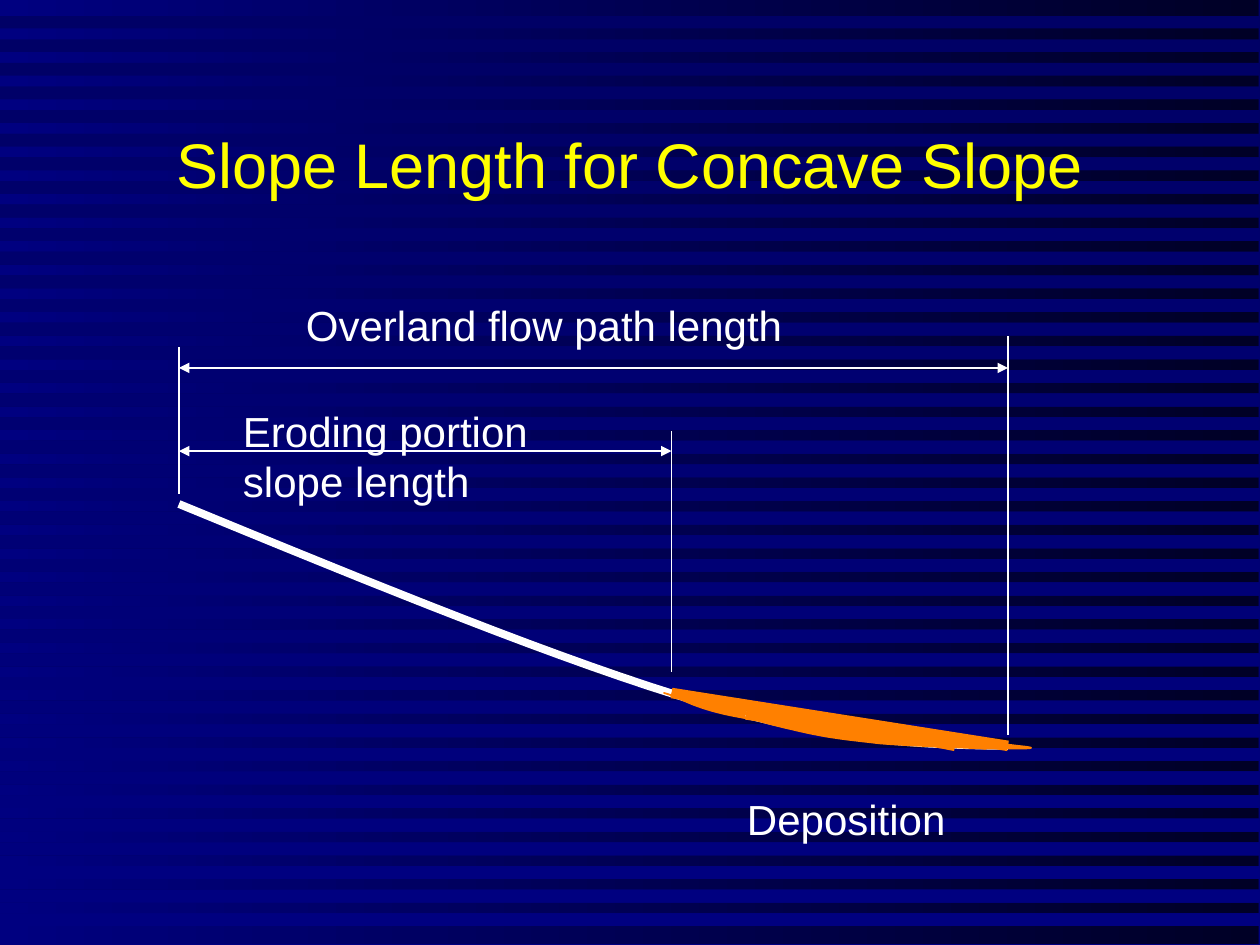
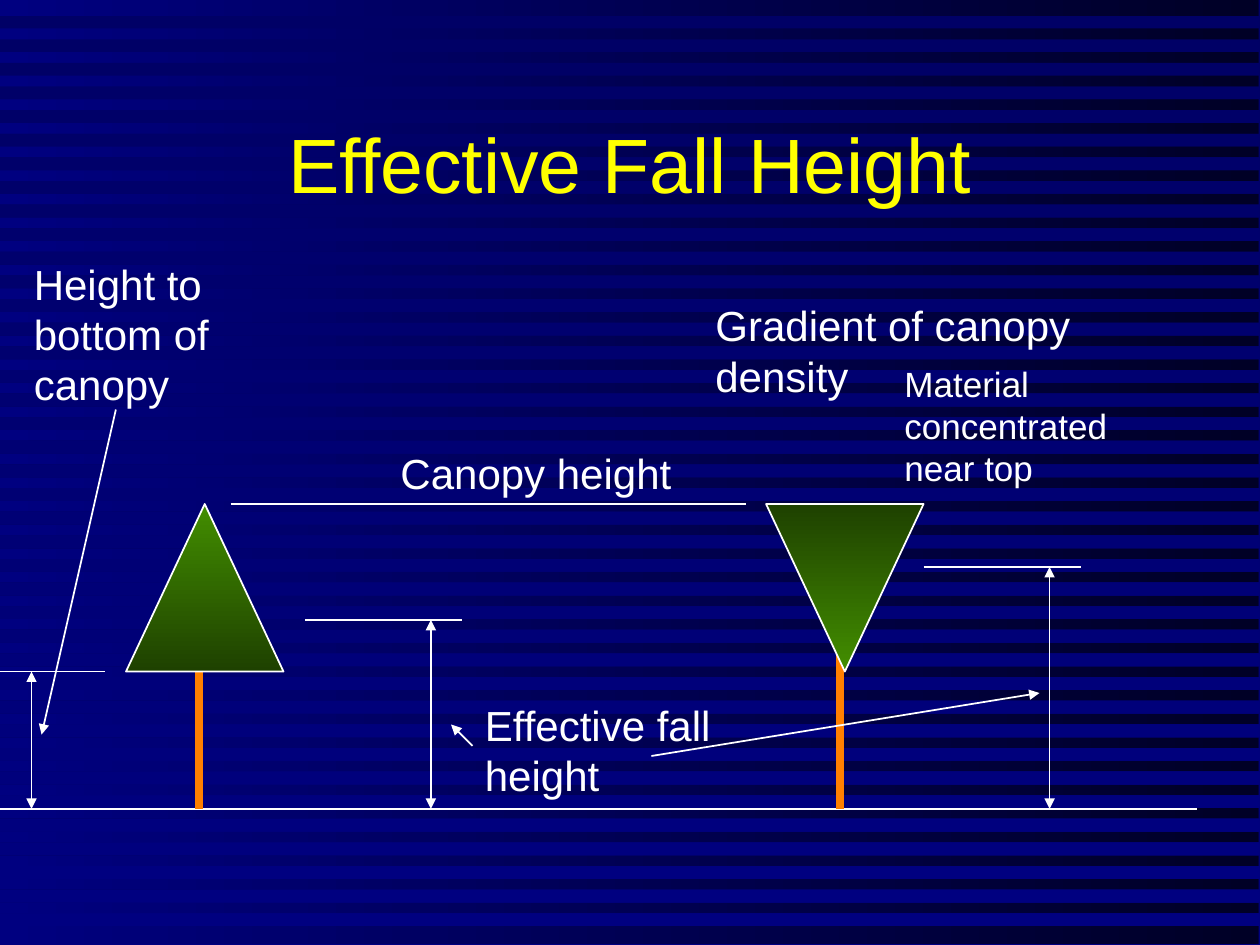
"""Builds two slides on slope length and effective fall height."""
from dataclasses import dataclass
from typing import Any, Optional, Union

from pptx import Presentation
from pptx.dml.color import RGBColor
from pptx.enum.shapes import MSO_CONNECTOR, MSO_SHAPE
from pptx.enum.text import MSO_ANCHOR, PP_ALIGN
from pptx.oxml.ns import qn
from pptx.util import Inches, Pt
from lxml.etree import SubElement

Point = tuple[float, float]

COLORS = {
    "title": "FFFF00",
    "text": "FFFFFF",
    "soil": "FF8000",
    "leaf": "438E00",
    "leaf_dark": "1E4100",
    "night": "000026",
    "navy": "000066",
    "blue": "000080",
}
TITLE_BOX = {"left": Inches(0.75), "top": Inches(0.67),
             "width": Inches(8.5), "height": Inches(1.25)}
FRAME = {"word_wrap": True, "margin_left": Inches(0.1), "margin_right": Inches(0.1),
         "margin_top": Inches(0.05), "margin_bottom": Inches(0.05)}
STRIPES, STRIPE_TOP, STRIPE_H, STRIPE_PITCH = 39, 1 / 8, 0.1, 3 / 16
CURVE_STEPS = 16


@dataclass
class Line:
    start: Point
    end: Point
    arrows: tuple[str, ...] = ()
    color: str = "text"
    width: float = 1


@dataclass
class Label:
    text: str
    left: float
    top: float
    width: float
    height: float
    size: float = 24


@dataclass
class Curve:
    points: list[Point]
    color: str
    width: float
    filled: bool = False


@dataclass
class Canopy:
    left: float
    top: float
    rotation: float = 0


Item = Union[Line, Label, Curve, Canopy]
BOTH, TAIL = ("headEnd", "tailEnd"), ("tailEnd",)


def rgb(name: str) -> RGBColor:
    """Return the named colour."""
    return RGBColor.from_string(COLORS[name])


def apply(obj: Any, fmt: dict[str, Any]) -> None:
    """Set every format value on the object."""
    for key, value in fmt.items():
        setattr(obj, key, value)


def gradient(fill: Any, first: str, last: str, angle: float) -> None:
    """Fill with two colours at a counter-clockwise angle."""
    fill.gradient()
    fill.gradient_angle = angle
    for stop, name in zip(fill.gradient_stops, (first, last)):
        stop.color.rgb = rgb(name)


def outline(line: Any, color: str, width: float) -> None:
    """Give a line its colour and width."""
    line.color.rgb = rgb(color)
    line.width = Pt(width)


def write(tf: Any, text: str, size: float, color: str, align: Any, anchor: Any) -> None:
    """Write one formatted paragraph into a text frame."""
    apply(tf, {**FRAME, "vertical_anchor": anchor})
    p = tf.paragraphs[0]
    p.alignment = align
    r = p.add_run()
    r.text = text
    apply(r.font, {"name": "Arial", "size": Pt(size)})
    r.font.color.rgb = rgb(color)


def freeform(s: Any, points: list[Point], close: bool) -> Any:
    """Build an outline through points given in inches."""
    pts = [(Inches(x), Inches(y)) for x, y in points]
    builder = s.shapes.build_freeform(*pts[0])
    builder.add_line_segments(pts[1:], close=close)
    sp = builder.convert_to_shape()
    sp.shadow.inherit = False
    return sp


def bezier(points: list[Point]) -> list[Point]:
    """Sample a chain of cubic curves that share their end points."""
    result = [points[0]]
    for i in range(0, len(points) - 1, 3):
        for step in range(1, CURVE_STEPS + 1):
            t = step / CURVE_STEPS
            weights = ((1 - t) ** 3, 3 * t * (1 - t) ** 2, 3 * t * t * (1 - t), t ** 3)
            x, y = (sum(w * p[axis] for w, p in zip(weights, points[i:i + 4]))
                    for axis in (0, 1))
            result.append((x, y))
    return result


def draw_line(s: Any, item: Line) -> None:
    """Draw a straight line with optional arrowheads."""
    ends = [Inches(v) for v in (*item.start, *item.end)]
    cxn = s.shapes.add_connector(MSO_CONNECTOR.STRAIGHT, *ends)
    outline(cxn.line, item.color, item.width)
    sp_pr = cxn.element.spPr
    for end in item.arrows:
        SubElement(sp_pr.find(qn("a:ln")), qn(f"a:{end}"), type="triangle")
    SubElement(sp_pr, qn("a:effectLst"))


def draw_label(s: Any, item: Label) -> None:
    """Draw a text box."""
    box = [Inches(v) for v in (item.left, item.top, item.width, item.height)]
    tf = s.shapes.add_textbox(*box).text_frame
    write(tf, item.text, item.size, "text", PP_ALIGN.LEFT, MSO_ANCHOR.TOP)


def draw_curve(s: Any, item: Curve) -> None:
    """Draw a curved line or a filled curved outline."""
    sp = freeform(s, bezier(item.points), item.filled)
    if item.filled:
        sp.fill.solid()
        sp.fill.fore_color.rgb = rgb(item.color)
    else:
        sp.fill.background()
    outline(sp.line, item.color, item.width)


def draw_canopy(s: Any, item: Canopy) -> None:
    """Draw a triangular tree canopy, lightest at its tip."""
    sp = s.shapes.add_shape(MSO_SHAPE.ISOSCELES_TRIANGLE, Inches(item.left),
                            Inches(item.top), Inches(1.25), Inches(1.33))
    sp.shadow.inherit = False
    sp.rotation = item.rotation
    gradient(sp.fill, "leaf", "leaf_dark", 270)
    outline(sp.line, "text", 1)


DRAW = {Line: draw_line, Label: draw_label, Curve: draw_curve, Canopy: draw_canopy}


def add_slide(prs: Any, title: str, size: float, items: Optional[list[Item]]) -> None:
    """Add a titled slide and draw its items from back to front."""
    s = prs.slides.add_slide(prs.slide_layouts[5])
    apply(s.shapes.title, TITLE_BOX)
    write(s.shapes.title.text_frame, title, size, "title",
          PP_ALIGN.CENTER, MSO_ANCHOR.MIDDLE)
    for item in items or []:
        DRAW[type(item)](s, item)


def style_master(prs: Any) -> None:
    """Put the gradient and its stripes on the slide master."""
    master, s = prs.slide_master, prs.slides[0]
    gradient(master.background.fill, "navy", "blue", 270)
    panel = s.shapes.add_shape(MSO_SHAPE.RECTANGLE, 0, 0, Inches(9.99), Inches(7.49))
    panel.shadow.inherit = False
    gradient(panel.fill, "night", "blue", 180)
    points: list[Point] = []
    for i in range(STRIPES):
        top = STRIPE_TOP + i * STRIPE_PITCH
        bottom = top + STRIPE_H
        points += [(10, top), (0, top), (0, bottom), (10, bottom)]
    stripes = freeform(s, points, True)
    gradient(stripes.fill, "navy", "blue", 270)
    for i, sp in enumerate((panel, stripes)):
        sp.line.fill.background()
        master.shapes.element.insert(2 + i, sp.element)


CREST, BREAK, FOOT = 1.42, 5.33, 8
GROUND, CANOPY_TOP, CANOPY_BASE = 6.42, 4, 5.33

SLOPE_ITEMS = [
    Curve([(CREST, 4), (2.95, 4.63), (4.49, 5.26), (5.58, 5.58),
           (6.68, 5.9), (7.34, 5.91), (FOOT, 5.92)], "text", 4.5),
    Line((FOOT, 5.92), (BREAK, 5.5), color="soil", width=6),
    Label("Deposition", 5.83, 6.25, 1.92, 0.5),
    Line((CREST, 3.92), (CREST, 2.75)),
    Line((FOOT, 5.83), (FOOT, 2.67)),
    Line((BREAK, 5.33), (BREAK, 3.42)),
    Line((CREST, 2.92), (FOOT, 2.92), BOTH),
    Line((CREST, 3.58), (BREAK, 3.58), BOTH),
    Label("Overland flow path length", 2.33, 2.33, 4.75, 0.5),
    Label("Eroding portion slope length", 1.83, 3.17, 3.25, 0.9),
    Line((5.83, 5.58), (7.58, 5.92), color="soil", width=6),
    Line((5.92, 5.67), (7, 5.83), color="soil", width=6),
    Line((5.92, 5.67), (BREAK, 5.5), color="soil", width=4.5),
    Line((6.83, 5.83), (7.33, 5.83), color="soil", width=6),
    Line((7.33, 5.83), (7.83, 5.92), color="soil", width=4.5),
    Curve([(5.27, 5.5), (5.3, 5.51), (6.01, 5.73), (6.29, 5.79),
           (6.58, 5.86), (6.73, 5.87), (6.98, 5.9),
           (7.23, 5.92), (7.59, 5.93), (7.77, 5.94),
           (7.95, 5.94), (8.38, 5.95), (8.08, 5.92),
           (7.78, 5.88), (6.45, 5.78), (5.98, 5.71),
           (5.51, 5.64), (5.42, 5.54), (5.27, 5.5)], "soil", 1, True),
]

FALL_ITEMS = [
    Line((0, GROUND), (9.5, GROUND)),
    Line((1.83, CANOPY_TOP), (5.92, CANOPY_TOP)),
    Line((1.58, GROUND), (1.58, 4.42), color="soil", width=4.5),
    Line((6.67, GROUND), (6.67, CANOPY_TOP), color="soil", width=4.5),
    Canopy(1, CANOPY_TOP),
    Canopy(6.08, CANOPY_TOP, 180),
    Line((2.42, 4.92), (3.67, 4.92)),
    Line((3.42, 4.92), (3.42, GROUND), BOTH),
    Line((7.33, 4.5), (8.58, 4.5)),
    Line((8.33, 4.5), (8.33, GROUND), BOTH),
    Label("Effective fall height", 3.75, 5.5, 2.58, 0.9),
    Line((5.17, 6), (8.25, 5.5), TAIL),
    Line((3.75, 5.92), (3.58, 5.75), TAIL),
    Label("Canopy height", 3.08, 3.5, 2.58, 0.5),
    Line((0.83, CANOPY_BASE), (0, CANOPY_BASE)),
    Line((0.25, CANOPY_BASE), (0.25, GROUND), BOTH),
    Label("Height to bottom of canopy", 0.17, 2, 2.17, 1.3),
    Line((0.92, 3.25), (0.33, 5.83), TAIL),
    Label("Gradient of canopy density", 5.58, 2.33, 3.33, 0.9),
    Label("Material concentrated near top", 7.08, 2.83, 2.42, 1.1, 20),
]


def main() -> None:
    """Build and save the presentation."""
    prs = Presentation()
    apply(prs, {"slide_width": Inches(10), "slide_height": Inches(7.5)})
    add_slide(prs, "Slope Length for Concave Slope", 36, SLOPE_ITEMS)
    add_slide(prs, "Effective Fall Height", 44, FALL_ITEMS)
    style_master(prs)
    prs.save("out.pptx")


if __name__ == "__main__":
    main()
